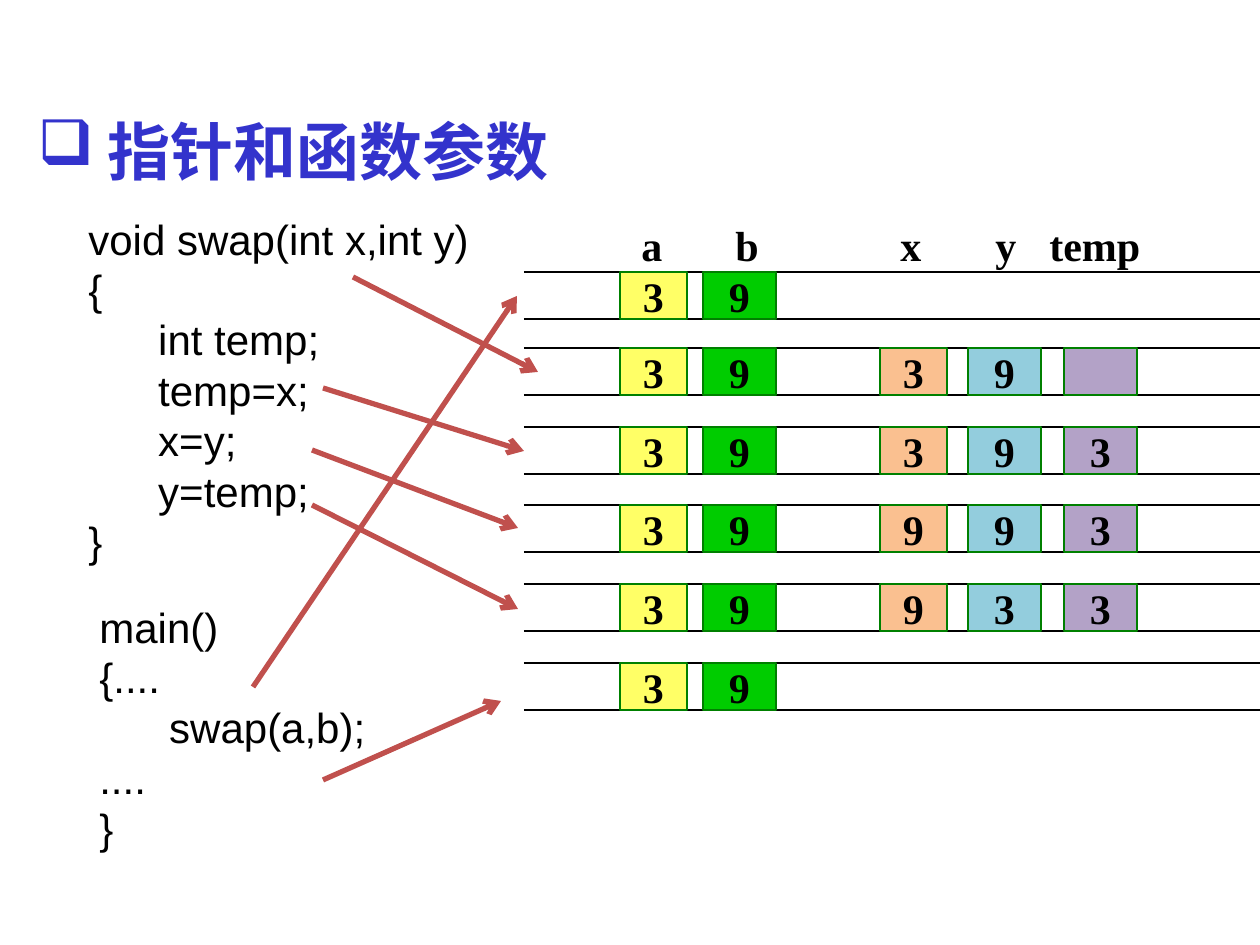
import dataclasses

import pptx
import pptx.dml.color
import pptx.enum.shapes
import pptx.enum.text
import pptx.oxml.ns
import pptx.util
from lxml import etree

EMU_PER_PX = 914400 // 126
PAGE_WIDTH, PAGE_HEIGHT = 1260, 945


@dataclasses.dataclass(frozen=True)
class Theme:
    title: str = "3333CC"
    ink: str = "000000"
    cell_border: str = "008000"
    arrow: str = "C0504D"
    code_font: str = "Arial"
    label_font: str = "Times New Roman"
    title_size: int = 36
    text_size: int = 24
    thin: float = 0.75
    thick: float = 3
    leading: float = 1.2


THEME = Theme()

FUNCTION_CODE = """void swap(int x,int y)
{
      int temp;
      temp=x;
      x=y;
      y=temp;
}"""
MAIN_CODE = """main()
{....
      swap(a,b);
....
}"""

VARIABLES = [
    ("a", 629, 45, 620, 67, "FFFF66"),
    ("b", 723, 48, 703, 73, "00CC00"),
    ("x", 888, 45, 880, 67, "FAC090"),
    ("y", 983, 45, 968, 73, "93CDDD"),
    ("temp", 1037, 116, 1064, 73, "B3A2C7"),
]
MEMORY_STATES = [
    (272, ["3", "9"]),
    (348, ["3", "9", "3", "9", ""]),
    (427, ["3", "9", "3", "9", "3"]),
    (505, ["3", "9", "9", "9", "3"]),
    (584, ["3", "9", "9", "3", "3"]),
    (663, ["3", "9"]),
]
MEMORY_LEFT, CELL_HEIGHT = 524, 47
LABEL_TOP, LABEL_HEIGHT = 213, 63
STEP_ARROWS = [
    (253, 687, 517, 296),
    (353, 277, 538, 372),
    (323, 780, 501, 701),
    (323, 388, 524, 451),
    (312, 450, 518, 528),
    (312, 505, 518, 609),
]


def px(length):
    return pptx.util.Emu(length * EMU_PER_PX)


def color(value):
    return pptx.dml.color.RGBColor.from_string(value)


def add_xml(parent, tag, **attributes):
    return etree.SubElement(parent, pptx.oxml.ns.qn(tag), attributes)


def write(frame, text, *, font, size=THEME.text_size, ink=THEME.ink, bold=False,
          align=pptx.enum.text.PP_ALIGN.LEFT, wrap=False,
          anchor=pptx.enum.text.MSO_ANCHOR.TOP):
    frame.word_wrap = wrap
    frame.auto_size = pptx.enum.text.MSO_AUTO_SIZE.NONE
    frame.vertical_anchor = anchor
    for index, line in enumerate(text.split("\n")):
        para = frame.add_paragraph() if index else frame.paragraphs[0]
        para.alignment = align
        para.line_spacing = pptx.util.Pt(size * THEME.leading)
        para.space_before = pptx.util.Pt(0)
        span = para.add_run()
        span.text = line
        span.font.name = font
        span.font.size = pptx.util.Pt(size)
        span.font.bold = bold
        span.font.color.rgb = color(ink)


class SlideBuilder:
    def __init__(self, page, theme):
        self.page = page
        self.theme = theme

    def title(self, text, left, top, width, height, bullet, indent):
        box = self.page.shapes.title
        box.left, box.top, box.width, box.height = map(px, (left, top, width, height))
        properties = box.text_frame.paragraphs[0]._p.get_or_add_pPr()
        properties.set("marL", str(px(indent)))
        properties.set("indent", str(-px(indent)))
        bullet_color = add_xml(properties, "a:buClr")
        add_xml(bullet_color, "a:srgbClr", val=self.theme.title)
        add_xml(properties, "a:buChar", char=bullet)
        write(box.text_frame, text, font=self.theme.label_font,
              size=self.theme.title_size, ink=self.theme.title, bold=True, wrap=True)

    def text(self, text, left, top, width, height, **style):
        box = self.page.shapes.add_textbox(*map(px, (left, top, width, height)))
        write(box.text_frame, text, **style)

    def cell(self, shapes, value, left, top, width, fill):
        box = shapes.add_shape(pptx.enum.shapes.MSO_SHAPE.RECTANGLE,
                               *map(px, (left, top, width, CELL_HEIGHT)))
        box.shadow.inherit = False
        box.fill.solid()
        box.fill.fore_color.rgb = color(fill)
        box.line.color.rgb = color(self.theme.cell_border)
        box.line.width = pptx.util.Pt(self.theme.thin)
        if value:
            write(box.text_frame, value, font=self.theme.label_font, bold=True,
                  align=pptx.enum.text.PP_ALIGN.CENTER,
                  anchor=pptx.enum.text.MSO_ANCHOR.MIDDLE)

    def line(self, shapes, ends, ink, weight):
        connector = shapes.add_connector(pptx.enum.shapes.MSO_CONNECTOR.STRAIGHT,
                                         *map(px, ends))
        connector.line.color.rgb = color(ink)
        connector.line.width = pptx.util.Pt(weight)
        add_xml(connector._element.spPr, "a:effectLst")
        return connector

    def arrow(self, ends):
        connector = self.line(self.page.shapes, ends, self.theme.arrow, self.theme.thick)
        add_xml(connector.line._get_or_add_ln(), "a:tailEnd", type="arrow")

    def memory_row(self, top, values):
        shapes = self.page.shapes.add_group_shape().shapes
        for y in (top, top + CELL_HEIGHT):
            self.line(shapes, (MEMORY_LEFT, y, PAGE_WIDTH, y),
                      self.theme.ink, self.theme.thin)
        for value, (_, _, _, left, width, fill) in zip(values, VARIABLES):
            self.cell(shapes, value, left, top, width, fill)


def main():
    deck = pptx.Presentation()
    deck.slide_width, deck.slide_height = px(PAGE_WIDTH), px(PAGE_HEIGHT)
    page = deck.slides.add_slide(deck.slide_layouts[5])
    builder = SlideBuilder(page, THEME)

    builder.title("指针和函数参数", 25, 106, 560, 88, bullet="❑", indent=70)
    builder.text(MAIN_CODE, 87, 595, 291, 265, font=THEME.code_font)
    builder.text(FUNCTION_CODE, 76, 207, 406, 365, font=THEME.code_font)
    for name, left, width, *_ in VARIABLES:
        builder.text(name, left, LABEL_TOP, width, LABEL_HEIGHT,
                     font=THEME.label_font, bold=True)
    for top, values in MEMORY_STATES:
        builder.memory_row(top, values)
    for ends in STEP_ARROWS:
        builder.arrow(ends)

    deck.save("out.pptx")


if __name__ == "__main__":
    main()
